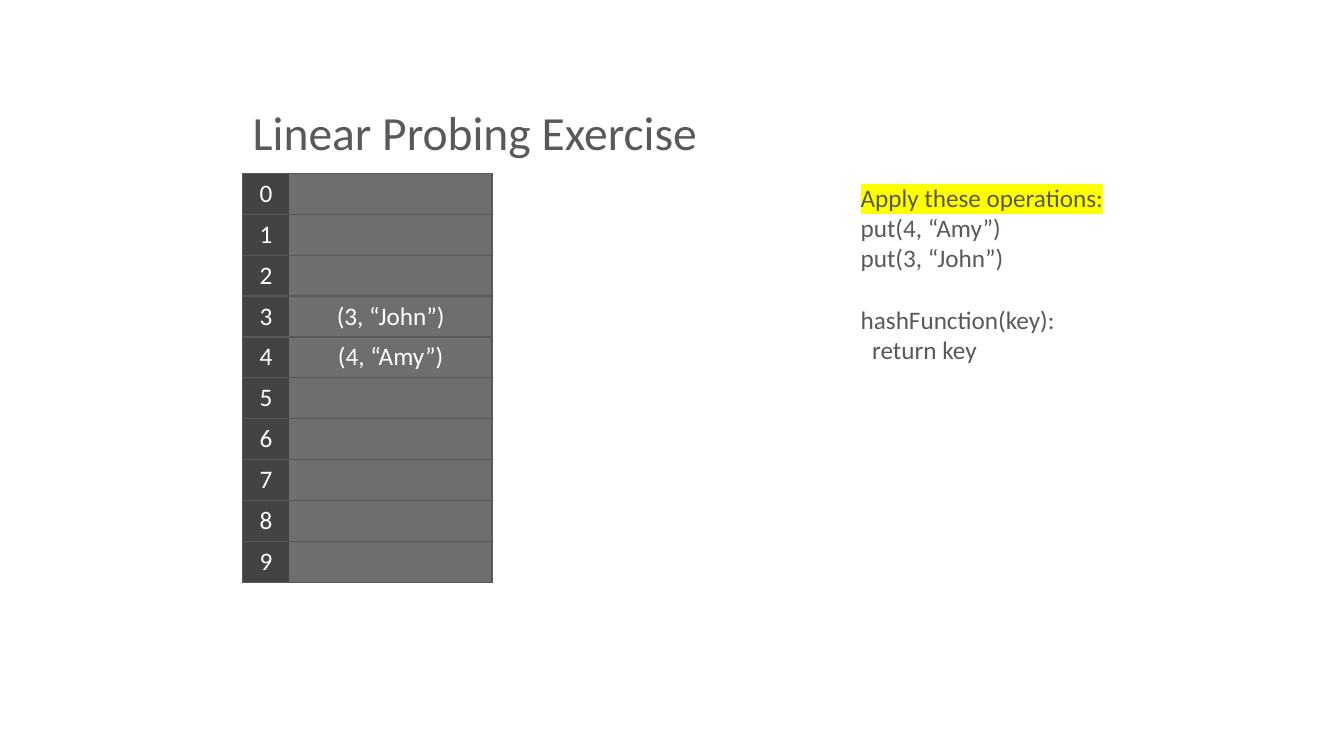
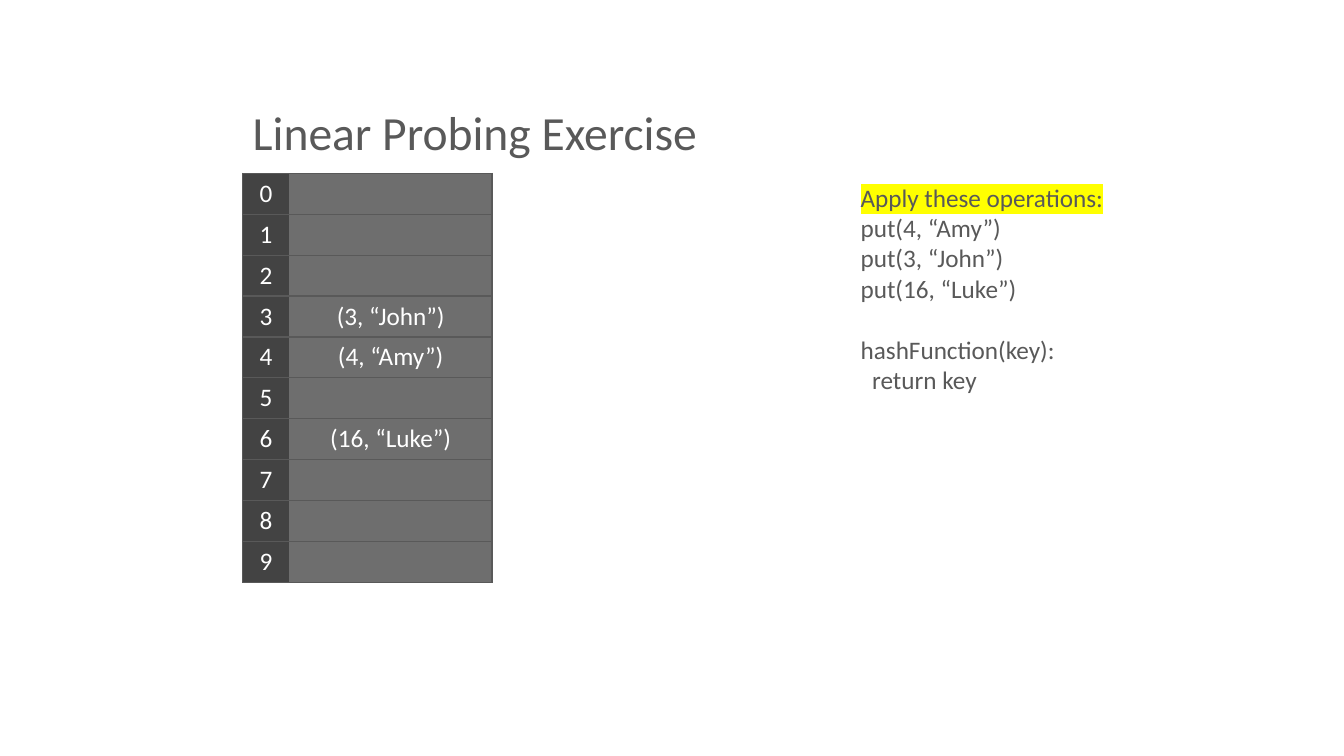
from lxml.etree import SubElement
from pptx import Presentation
from pptx.dml.color import RGBColor
from pptx.enum.text import MSO_ANCHOR as Anchor, PP_ALIGN as Align
from pptx.oxml.ns import qn
from pptx.util import Cm, Pt

TITLE = "Linear Probing Exercise"
HEADING = "Apply these operations:"
HASH_LINES = ["hashFunction(key):", "return key"]
SLIDE_OPERATIONS = [
    [(4, "Amy"), (3, "John")],
    [(4, "Amy"), (3, "John"), (16, "Luke")],
]

FONT = "Calibri"
COLORS = {
    "text": "595959",
    "border": "595959",
    "index": "434343",
    "bucket": "6E6E6E",
    "cell_text": "FFFFFF",
    "highlight": "FFFF00",
}
BODY_SIZE, TITLE_SIZE = 18, 34
BUCKETS = 10
LEFT, TABLE_TOP = 6.12, 4.37
ROW_HEIGHT = 1.03
COLUMNS = [(1.17, "index", "LTB"), (5.11, "bucket", "RTB")]


def style(paragraph, size=BODY_SIZE, color="text"):
    paragraph.font.name = FONT
    paragraph.font.size = Pt(size)
    paragraph.font.color.rgb = RGBColor.from_string(COLORS[color])


def add_text_frame(slide, left, top, width, height):
    box = slide.shapes.add_textbox(Cm(left), Cm(top), Cm(width), Cm(height))
    box.text_frame.word_wrap = True
    return box.text_frame


def add_title(slide):
    frame = add_text_frame(slide, LEFT, 0.84, 26.04, 3.33)
    frame.vertical_anchor = Anchor.BOTTOM
    paragraph = frame.paragraphs[0]
    paragraph.text = TITLE
    paragraph.line_spacing = 0.9
    style(paragraph, TITLE_SIZE)


def set_borders(cell, sides):
    properties = cell._tc.get_or_add_tcPr()
    for side in "LRTB":
        line = SubElement(properties, qn(f"a:ln{side}"), w=str(Pt(1)))
        if side in sides:
            fill = SubElement(line, qn("a:solidFill"))
            SubElement(fill, qn("a:srgbClr"), val=COLORS["border"])
        else:
            SubElement(line, qn("a:noFill"))


def add_hash_table(slide, operations):
    entries = {key % BUCKETS: f"({key}, “{name}”)" for key, name in operations}
    width = sum(column[0] for column in COLUMNS)
    table = slide.shapes.add_table(
        BUCKETS, len(COLUMNS), Cm(LEFT), Cm(TABLE_TOP), Cm(width), Cm(BUCKETS * ROW_HEIGHT)
    ).table
    table.first_row = table.horz_banding = False
    for column, (column_width, _, _) in zip(table.columns, COLUMNS):
        column.width = Cm(column_width)
    for index, row in enumerate(table.rows):
        row.height = Cm(ROW_HEIGHT)
        texts = [str(index), entries.get(index, "")]
        for cell, text, (_, color, sides) in zip(row.cells, texts, COLUMNS):
            set_borders(cell, sides)
            cell.fill.solid()
            cell.fill.fore_color.rgb = RGBColor.from_string(COLORS[color])
            paragraph = cell.text_frame.paragraphs[0]
            paragraph.text = text
            paragraph.alignment = Align.CENTER
            style(paragraph, color="cell_text")


def add_operations(slide, operations):
    calls = [f"put({key}, “{name}”)" for key, name in operations]
    lines = [HEADING, *calls, *HASH_LINES]
    frame = add_text_frame(slide, 21.44, 4.47, 7.39, 0.25 + 0.77 * (len(lines) + 1))
    frame.text = "\n".join(lines)
    for paragraph in frame.paragraphs:
        style(paragraph)
    heading_run = frame.paragraphs[0].runs[0]
    highlight = SubElement(heading_run._r.get_or_add_rPr(), qn("a:highlight"))
    SubElement(highlight, qn("a:srgbClr"), val=COLORS["highlight"])
    signature, body = frame.paragraphs[-2:]
    signature.space_before = Pt(22)
    body._p.get_or_add_pPr().set("marL", str(Cm(0.29)))


def main():
    presentation = Presentation()
    presentation.slide_width, presentation.slide_height = Cm(33.87), Cm(19.05)
    for operations in SLIDE_OPERATIONS:
        slide = presentation.slides.add_slide(presentation.slide_layouts[6])
        add_title(slide)
        add_hash_table(slide, operations)
        add_operations(slide, operations)
    presentation.save("out.pptx")


if __name__ == "__main__":
    main()
